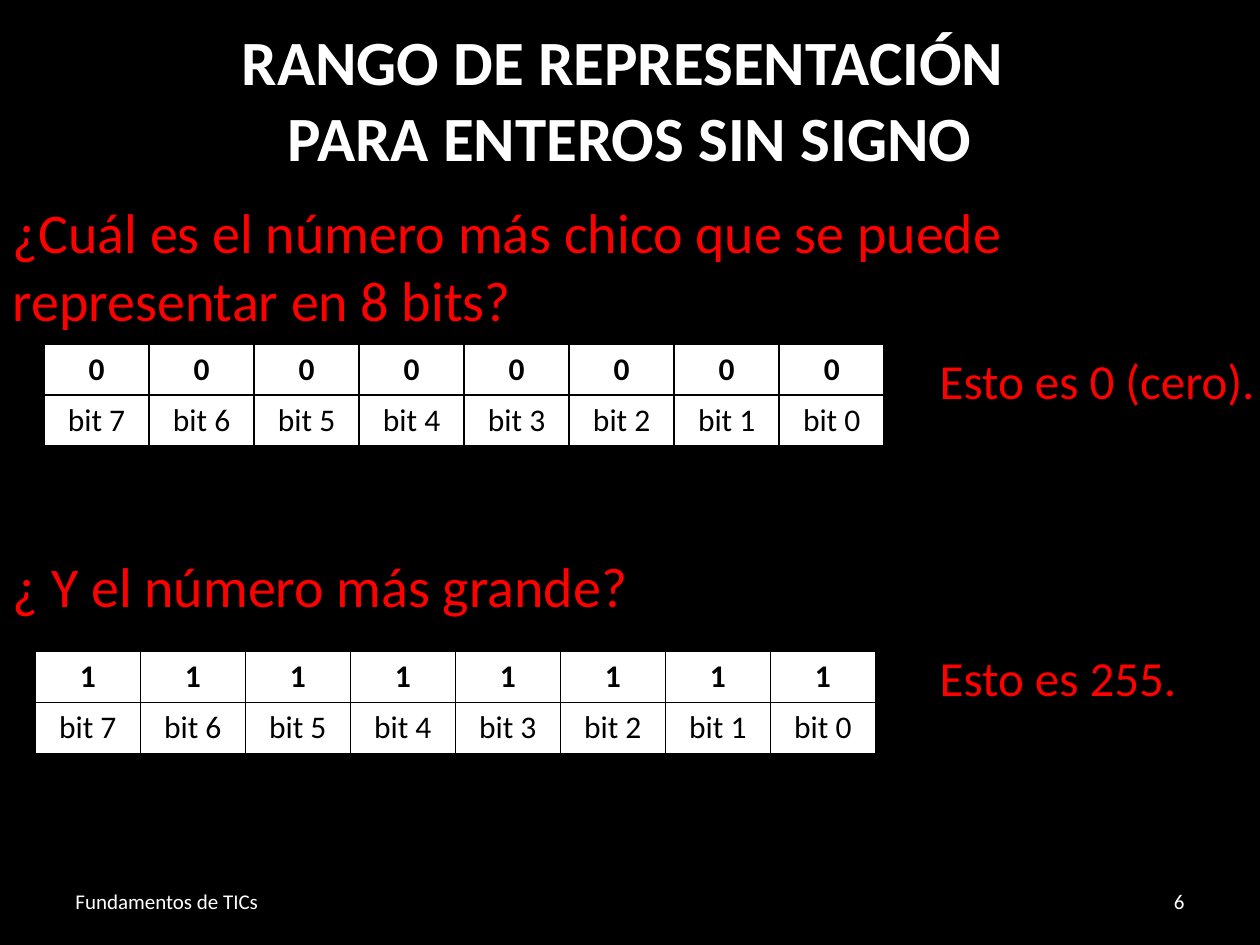
from lxml.etree import SubElement
from pptx import Presentation
from pptx.dml.color import RGBColor
from pptx.enum.text import MSO_ANCHOR, MSO_AUTO_SIZE, PP_ALIGN
from pptx.oxml.ns import qn
from pptx.util import Inches, Pt

BLACK = RGBColor(0, 0, 0)
WHITE = RGBColor(255, 255, 255)
RED = RGBColor(255, 0, 0)


class Deck:
    """Hold the style and the current slide."""

    def __init__(self):
        self.prs = Presentation()
        self.prs.slide_width = Inches(10)
        self.prs.slide_height = Inches(7.5)
        self.slide = self.prs.slides.add_slide(self.prs.slide_layouts[1])
        fill = self.slide.background.fill
        fill.solid()
        fill.fore_color.rgb = BLACK

    def place(self, shape, left, top, width, height):
        shape.left, shape.top = Inches(left), Inches(top)
        shape.width, shape.height = Inches(width), Inches(height)

    def style(self, para, size, color, bold=False, align=PP_ALIGN.LEFT):
        para.alignment = align
        for run in para.runs:
            font = run.font
            font.name, font.size, font.bold = "Calibri", Pt(size), bold
            font.color.rgb = color

    def title(self, text, box):
        shape = self.slide.shapes.title
        self.place(shape, *box)
        frame = shape.text_frame
        frame.text = text
        frame.auto_size = MSO_AUTO_SIZE.NONE
        frame.vertical_anchor = MSO_ANCHOR.TOP
        for para in frame.paragraphs:
            self.style(para, 36, WHITE, True, PP_ALIGN.CENTER)

    def body(self, lines, box, gap):
        shape = self.slide.placeholders[1]
        self.place(shape, *box)
        frame = shape.text_frame
        frame.text = "\n".join(lines)
        frame.auto_size = MSO_AUTO_SIZE.NONE
        for i, para in enumerate(frame.paragraphs):
            props = para._p.get_or_add_pPr()
            props.set("marL", "0")
            props.set("indent", "0")
            SubElement(props, qn("a:buNone"))
            para.space_before = Pt(gap if i else 0)
            self.style(para, 32, RED)

    def label(self, text, box, size, color, align=PP_ALIGN.LEFT,
              anchor=MSO_ANCHOR.TOP, wrap=False):
        shape = self.slide.shapes.add_textbox(*map(Inches, box))
        frame = shape.text_frame
        frame.text = text
        frame.word_wrap = wrap
        frame.vertical_anchor = anchor
        self.style(frame.paragraphs[0], size, color, align=align)

    def border(self, cell):
        props = cell._tc.get_or_add_tcPr()
        for i, side in enumerate(("a:lnL", "a:lnR", "a:lnT", "a:lnB")):
            line = props.makeelement(qn(side), {"w": str(Pt(1))})
            fill = SubElement(line, qn("a:solidFill"))
            SubElement(fill, qn("a:srgbClr"), val=str(BLACK))
            props.insert(i, line)

    def table(self, rows, left, top):
        size = map(Inches, (left, top, 6.67, 0.81))
        table = self.slide.shapes.add_table(len(rows), len(rows[0]), *size).table
        table.first_row = table.horz_banding = False
        for r, row in enumerate(rows):
            for c, text in enumerate(row):
                cell = table.cell(r, c)
                cell.text_frame.text = text
                cell.fill.solid()
                cell.fill.fore_color.rgb = WHITE
                self.border(cell)
                para = cell.text_frame.paragraphs[0]
                self.style(para, 18, BLACK, r == 0, PP_ALIGN.CENTER)


def main():
    deck = Deck()
    deck.title("RANGO DE REPRESENTACIÓN \nPARA ENTEROS SIN SIGNO", (0, 0.13, 10, 1.35))
    asks = ["¿Cuál es el número más chico que se puede representar en 8 bits?",
            "¿ Y el número más grande?"]
    deck.body(asks, (0, 1.52, 10, 3.5), 125)

    bits = [f"bit {n}" for n in range(7, -1, -1)]
    for digit, left, top in (("0", 0.35, 2.73), ("1", 0.28, 5.17)):
        deck.table([[digit] * 8, bits], left, top)

    deck.label("Esto es 0 (cero).", (7.36, 2.73, 2.73, 0.88), 28, RED)
    deck.label("Esto es 255.", (7.36, 5.09, 2.1, 0.88), 28, RED)
    mid = MSO_ANCHOR.MIDDLE
    deck.label("Fundamentos de TICs", (0.5, 6.95, 2.61, 0.4), 12, WHITE,
               anchor=mid, wrap=True)
    deck.label("6", (7.17, 6.95, 2.33, 0.4), 12, WHITE, PP_ALIGN.RIGHT, mid, True)
    deck.prs.save("out.pptx")


if __name__ == "__main__":
    main()
